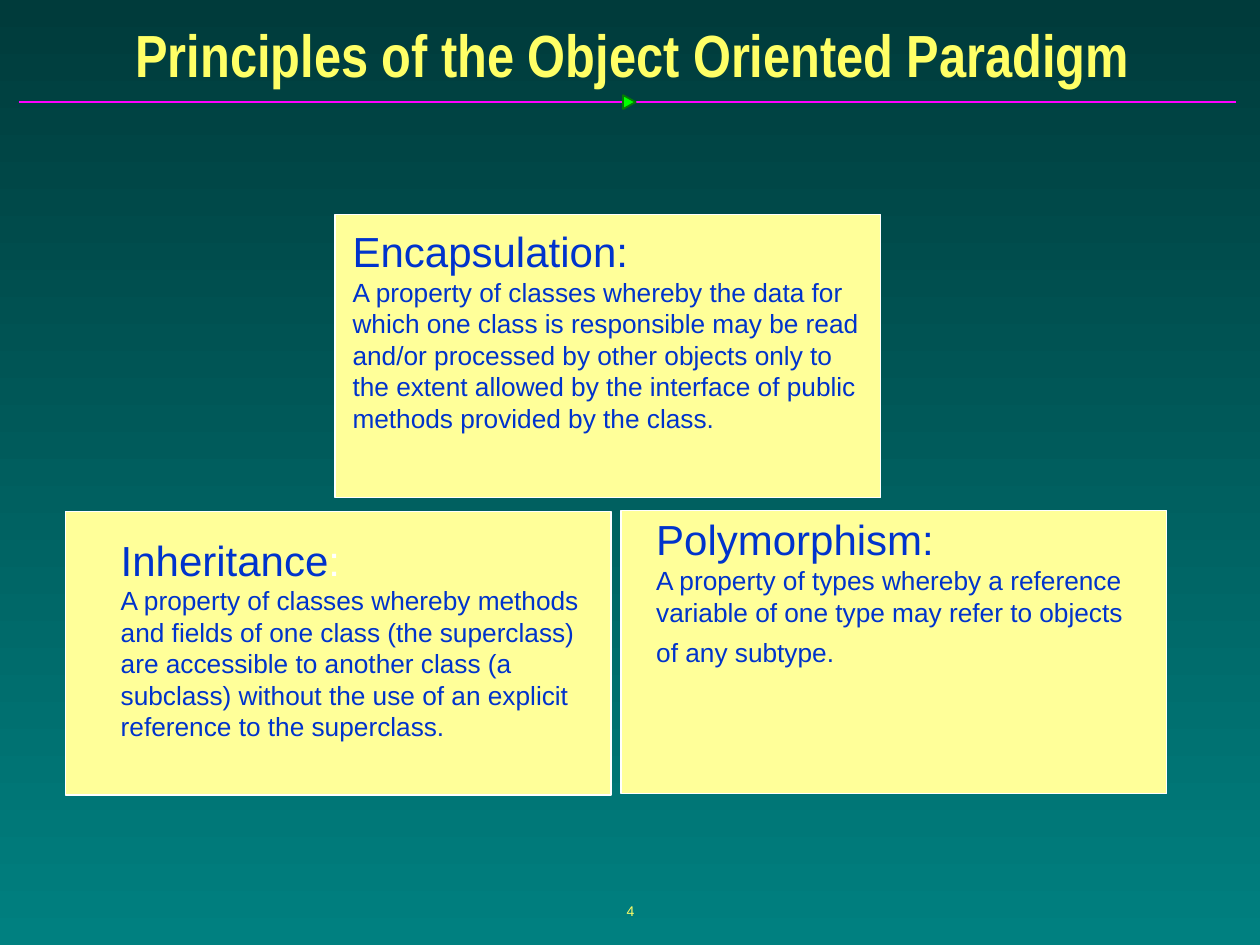
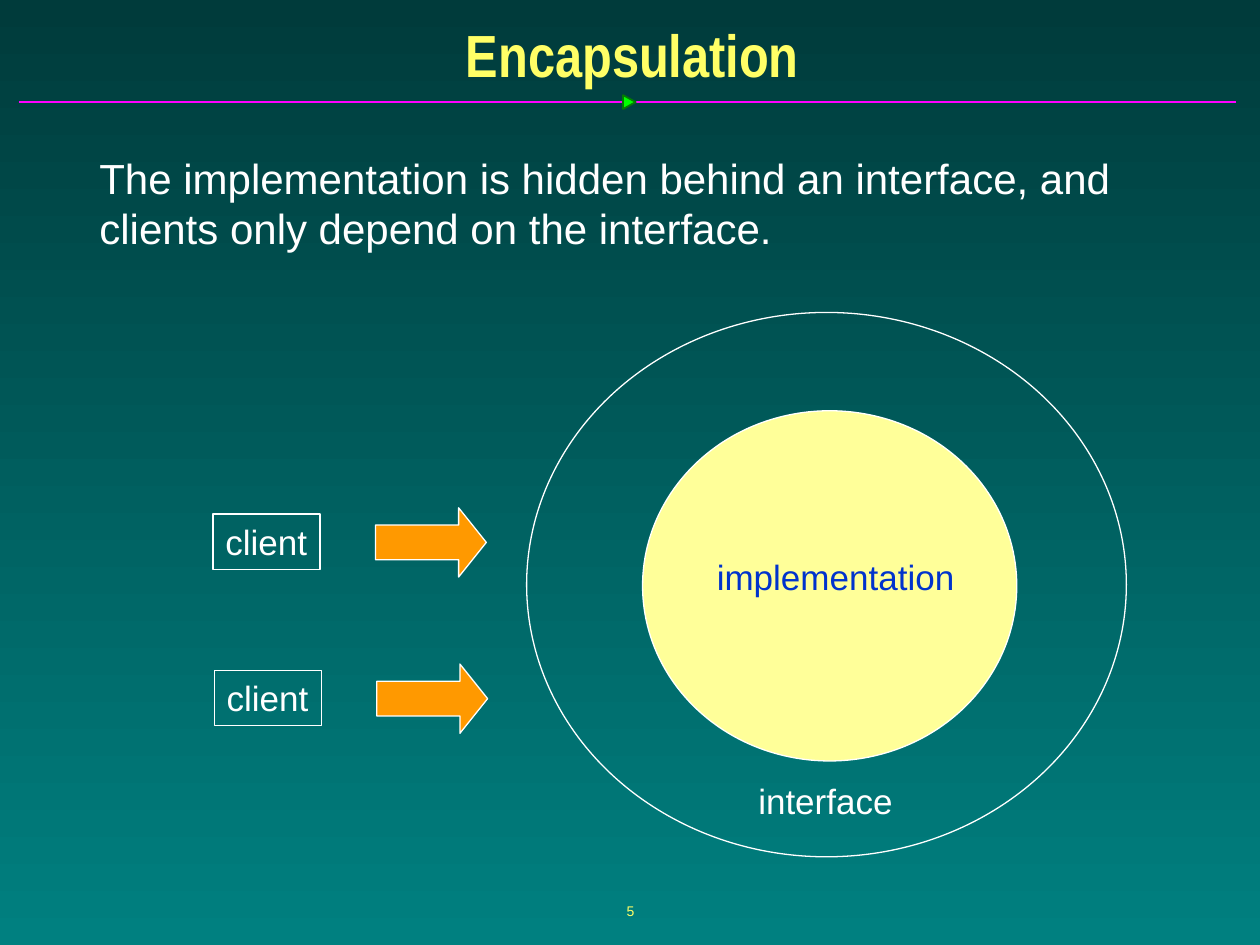
from lxml import etree
from pptx import Presentation
from pptx.dml.color import RGBColor
from pptx.enum.shapes import MSO_CONNECTOR, MSO_SHAPE
from pptx.enum.text import MSO_ANCHOR, MSO_AUTO_SIZE, PP_ALIGN
from pptx.oxml import parse_xml
from pptx.oxml.ns import nsdecls, qn
from pptx.util import Pt

PX = 9144  # EMU per px, 100 px to the inch

DARK_TEAL = RGBColor(0x00, 0x3B, 0x3B)
TEAL = RGBColor(0x00, 0x80, 0x80)
MAGENTA = RGBColor(0xFF, 0x01, 0xFF)
GREEN = RGBColor(0x00, 0xFF, 0x00)
DARK_GREEN = RGBColor(0x03, 0x7C, 0x03)
YELLOW = RGBColor(0xFF, 0xFF, 0x66)
CREAM = RGBColor(0xFF, 0xFF, 0x99)
WHITE = RGBColor(0xFF, 0xFF, 0xFF)
BLUE = RGBColor(0x00, 0x33, 0xCC)
ORANGE = RGBColor(0xFF, 0x99, 0x00)

# Text formats
TITLE = dict(name="Arial Narrow", size=Pt(34), bold=True, color=YELLOW)
HEAD = dict(name="Arial", size=Pt(24), color=BLUE)
HEAD_WHITE = dict(HEAD, color=WHITE)
DEFINITION = dict(HEAD, size=Pt(15))
SPACER = dict(HEAD, size=Pt(20))
LABEL = dict(HEAD, size=Pt(20), color=WHITE)
LABEL_BLUE = dict(LABEL, color=BLUE)

# Content: card corner, text box, paragraphs as lists of (text, format)
CARD_SIZE = (433, 225)
PRINCIPLES = [
    ((493, 405), (511, 403, 406, 184), [
        [("Polymorphism:", HEAD)],
        [("A property of types whereby a reference variable of one type may "
          "refer to objects of any subtype.", DEFINITION), (" ", SPACER)]]),
    ((52, 406), (86, 419, 386, 200), [
        [("Inheritance", HEAD), (":", HEAD_WHITE)],
        [("A property of classes whereby methods and fields of one class (the "
          "superclass) are accessible to another class (a subclass) without "
          "the use of an explicit", DEFINITION)],
        [("reference to the superclass.", DEFINITION)]]),
    ((266, 170), (270, 174, 433, 175), [
        [("Encapsulation:", HEAD)],
        [("A property of classes whereby the data for which one class is "
          "responsible may be read and/or processed by other objects only to "
          "the extent allowed by the interface of public methods provided by "
          "the class.", DEFINITION)]]),
]
SUMMARY = ("The implementation is hidden behind an interface, "
           "and clients only depend on the interface.")
IMPLEMENTATION_OVAL = (510, 326, 297, 278)
INTERFACE_OVAL = (418, 248, 476, 432)
OVAL_LABELS = [("implementation", (559, 436, 209, 44), LABEL_BLUE),
               ("interface", (592, 614, 127, 44), LABEL)]
CLIENTS = [(169, 408), (170, 532)]
ARROW_OFFSET = (129, -5)


def emu(box):
    return [v * PX for v in box]


def set_text(shape, paras, wrap=True, align=PP_ALIGN.LEFT,
             anchor=MSO_ANCHOR.TOP, fit=MSO_AUTO_SIZE.SHAPE_TO_FIT_TEXT):
    tf = shape.text_frame
    tf.word_wrap, tf.vertical_anchor, tf.auto_size = wrap, anchor, fit
    for i, runs in enumerate(paras):
        p = tf.add_paragraph() if i else tf.paragraphs[0]
        p.alignment = align
        for text, fmt in runs:
            r = p.add_run()
            r.text = text
            for key, value in fmt.items():
                if key == "color":
                    r.font.color.rgb = value
                else:
                    setattr(r.font, key, value)


def add_text(s, box, paras, **options):
    tb = s.shapes.add_textbox(*emu(box))
    set_text(tb, paras, **options)
    return tb


def add_shape(s, kind, box, fill=None, line=WHITE, width=0.75):
    sp = s.shapes.add_shape(kind, *emu(box))
    sp.shadow.inherit = False
    if fill is None:
        sp.fill.background()
    else:
        sp.fill.solid()
        sp.fill.fore_color.rgb = fill
    sp.line.color.rgb = line
    sp.line.width = Pt(width)
    return sp


def set_background(master):
    fill = master.background.fill
    fill.gradient()
    fill.gradient_angle = 270
    for stop, color, pos in zip(fill.gradient_stops, (DARK_TEAL, TEAL), (0, 1)):
        stop.color.rgb = color
        stop.position = pos


def add_page_number(s, number):
    tb = add_text(s, (342, 698, 317, 50), [[]], wrap=False, align=PP_ALIGN.CENTER,
                  anchor=MSO_ANCHOR.MIDDLE, fit=MSO_AUTO_SIZE.NONE)
    field = parse_xml(
        f'<a:fld {nsdecls("a")} id="{{B6F15528-21DE-4FAA-801E-634DDDAF4B2B}}" '
        f'type="slidenum"><a:rPr lang="en-US" sz="800"><a:solidFill>'
        f'<a:srgbClr val="{YELLOW}"/></a:solidFill><a:latin typeface="Arial"/>'
        f'</a:rPr><a:t>{number}</a:t></a:fld>')
    tb.text_frame.paragraphs[0]._p.append(field)


def new_slide(prs, title, number):
    s = prs.slides.add_slide(prs.slide_layouts[5])
    # Title
    ph = s.shapes.title
    ph.left, ph.top, ph.width, ph.height = emu((10, 14, 984, 58))
    set_text(ph, [[(title, TITLE)]], align=PP_ALIGN.CENTER,
             anchor=MSO_ANCHOR.MIDDLE, fit=MSO_AUTO_SIZE.NONE)
    # Rule with its marker
    rule = s.shapes.add_connector(MSO_CONNECTOR.STRAIGHT, *emu((15, 81, 981, 81)))
    rule.line.color.rgb = MAGENTA
    rule.line.width = Pt(1)
    etree.SubElement(rule._element.spPr, qn("a:effectLst"))
    marker = add_shape(s, MSO_SHAPE.ISOSCELES_TRIANGLE, (494, 76, 11, 10),
                       GREEN, DARK_GREEN, 1)
    marker.rotation = 90
    add_page_number(s, number)
    return s


def build_principles(prs):
    s = new_slide(prs, "Principles of the Object Oriented Paradigm", 4)
    for corner, _, _ in PRINCIPLES:
        add_shape(s, MSO_SHAPE.RECTANGLE, corner + CARD_SIZE, CREAM)
    for _, box, paras in PRINCIPLES:
        add_text(s, box, paras)


def build_encapsulation(prs):
    s = new_slide(prs, "Encapsulation", 5)
    add_text(s, (69, 116, 889, 90), [[(SUMMARY, HEAD_WHITE)]])
    # Implementation inside its interface
    add_shape(s, MSO_SHAPE.OVAL, IMPLEMENTATION_OVAL, CREAM)
    add_shape(s, MSO_SHAPE.OVAL, INTERFACE_OVAL)
    for text, box, fmt in OVAL_LABELS:
        add_text(s, box, [[(text, fmt)]], wrap=False)
    # Clients pointing at the interface
    dx, dy = ARROW_OFFSET
    for x, y in CLIENTS:
        client = add_shape(s, MSO_SHAPE.RECTANGLE, (x, y, 85, 44))
        set_text(client, [[("client", LABEL)]], wrap=False)
        arrow = add_shape(s, MSO_SHAPE.RIGHT_ARROW, (x + dx, y + dy, 88, 55), ORANGE)
        arrow.adjustments[1] = 0.4


def main():
    prs = Presentation()
    prs.slide_width, prs.slide_height = emu((1000, 750))
    set_background(prs.slide_master)
    # Slide numbers continue from 4
    prs.element.set("firstSlideNum", "4")
    build_principles(prs)
    build_encapsulation(prs)
    prs.save("out.pptx")


if __name__ == "__main__":
    main()
